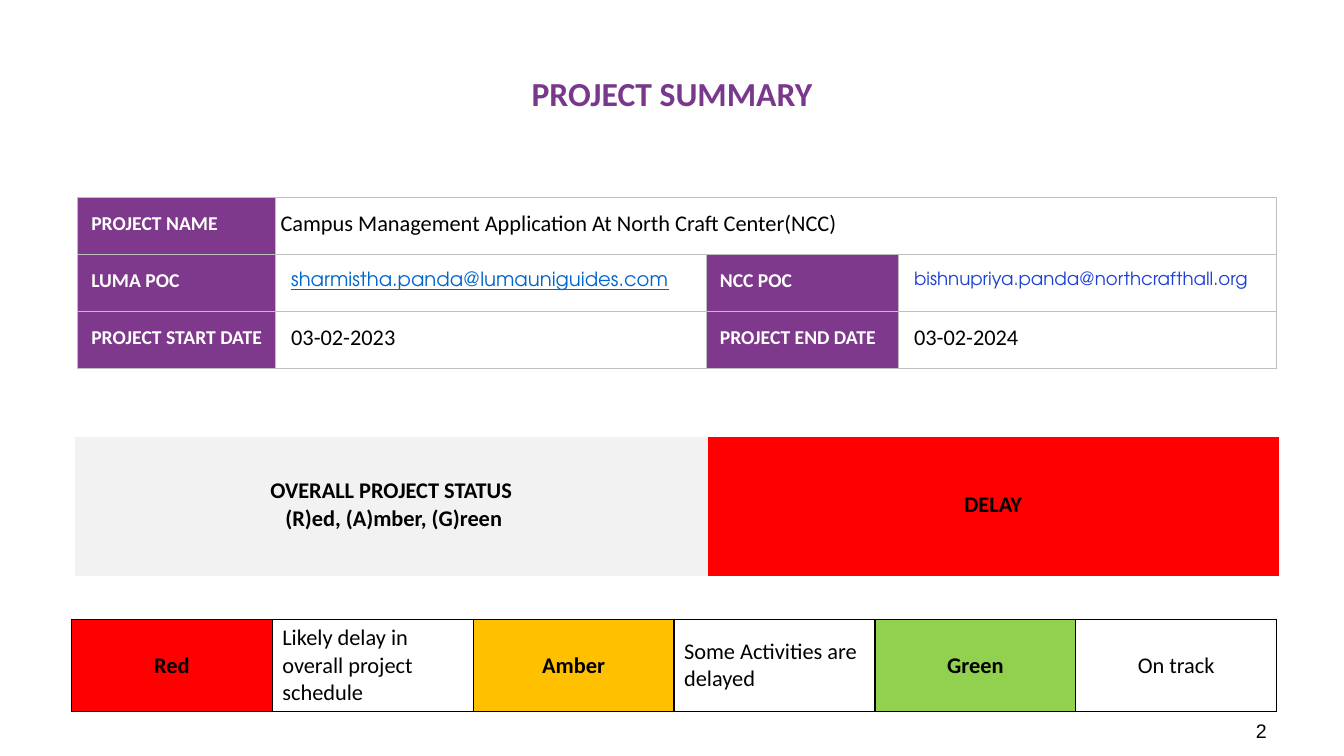
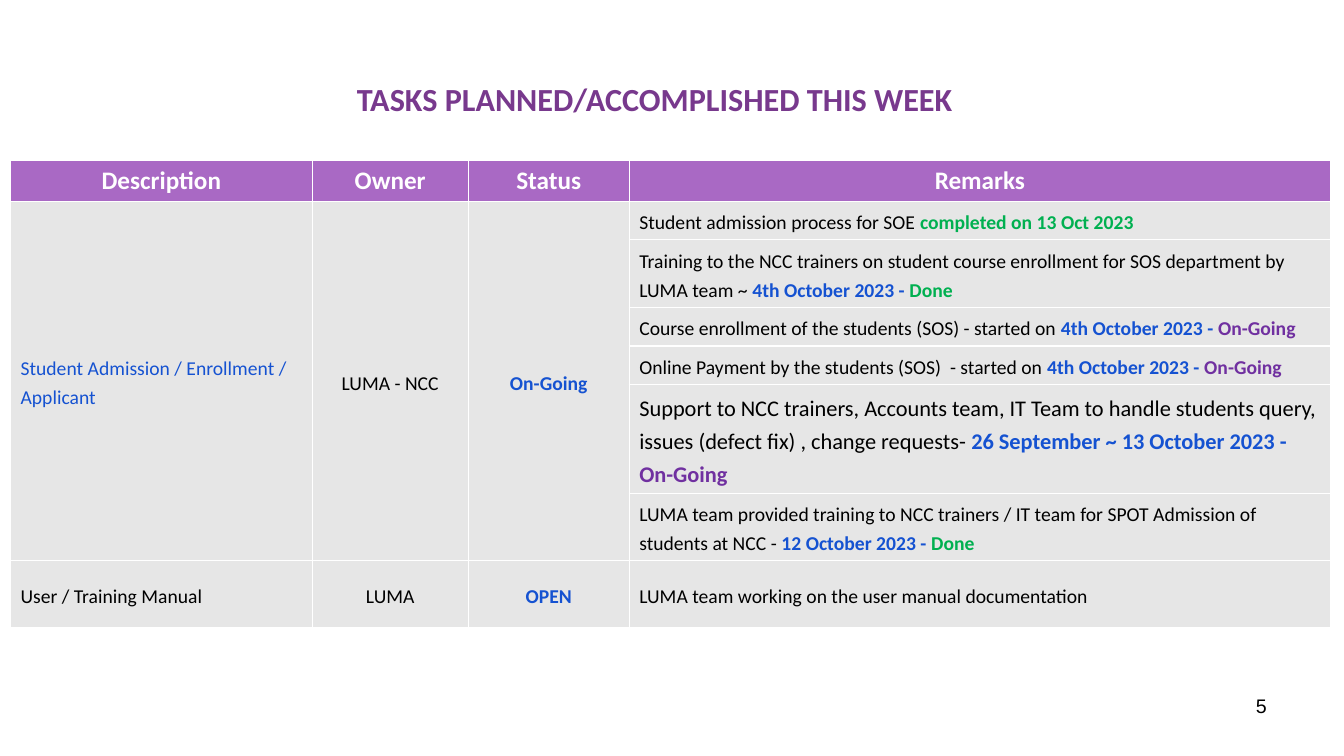
from collections import namedtuple
from lxml import etree
from pptx import Presentation
from pptx.dml.color import RGBColor
from pptx.enum.text import MSO_ANCHOR, MSO_AUTO_SIZE, PP_ALIGN
from pptx.oxml.ns import qn
from pptx.util import Pt

HUES = {
    "title": "78398D", "label": "7F398C", "head": "A969C4", "body": "E6E6E6",
    "pale": "F2F2F2", "rule": "BFBFBF", "white": "FFFFFF", "black": "000000",
    "red": "FF0000", "amber": "FFC000", "lime": "92D050",
    "blue": "1552D1", "green": "00B050", "violet": "7030A0",
    "link": "0066CC", "mail": "1D41D5",
}
FONT = "Calibri"
MAIL = "TeX Gyre Adventor"
TIGHT = (0.7, 0.7, 0.7, 3.6)
LOOSE = (7.2, 3.6, 7.2, 3.6)
LEFT, MID, RIGHT = PP_ALIGN.LEFT, PP_ALIGN.CENTER, PP_ALIGN.RIGHT

Run = namedtuple("Run", "text size hue bold font line",
                 defaults=(14, "black", False, FONT, False))
Cell = namedtuple("Cell", "lines fill align indent span space",
                  defaults=(None, LEFT, 0, (1, 1), None))
Box = namedtuple("Box", "left top width height")


def color(name):
    return RGBColor.from_string(HUES[name])


def write(frame, lines, align, space=None):
    for i, runs in enumerate(lines):
        para = frame.paragraphs[0] if i == 0 else frame.add_paragraph()
        para.alignment = align
        if space:
            para.line_spacing = space
        for item in runs:
            run = para.add_run()
            run.text = item.text
            run.font.name = item.font
            run.font.size = Pt(item.size)
            run.font.bold = item.bold
            run.font.underline = item.line
            run.font.color.rgb = color(item.hue)


def edge(cell, hue, width):
    props = cell._tc.get_or_add_tcPr()
    for i, side in enumerate(("lnL", "lnR", "lnT", "lnB")):
        line = etree.Element(qn("a:" + side), w=str(Pt(width)))
        if hue:
            fill = etree.SubElement(line, qn("a:solidFill"))
            etree.SubElement(fill, qn("a:srgbClr"), val=HUES[hue])
        else:
            etree.SubElement(line, qn("a:noFill"))
        props.insert(i, line)


def place(obj, box):
    obj.left, obj.top = Pt(box.left), Pt(box.top)
    obj.width, obj.height = Pt(box.width), Pt(box.height)


def grid(slide, left, top, cols, rows, cells, rule=None, width=1,
         inset=LOOSE):
    table = slide.shapes.add_table(
        len(rows), len(cols), Pt(left), Pt(top),
        Pt(sum(cols)), Pt(sum(rows))).table
    table.first_row = table.horz_banding = False
    for col, size in zip(table.columns, cols):
        col.width = Pt(size)
    for row, size in zip(table.rows, rows):
        row.height = Pt(size)
    for r, line in enumerate(cells):
        for c, item in enumerate(line):
            cell = table.cell(r, c)
            if item:
                fill_cell(cell, item, inset)
                down, over = item.span
                if item.span != (1, 1):
                    cell.merge(table.cell(r + down - 1, c + over - 1))
            edge(cell, rule, width)


def fill_cell(cell, item, inset):
    cell.vertical_anchor = MSO_ANCHOR.MIDDLE
    near, high, far, low = inset
    cell.margin_left, cell.margin_top = Pt(near + item.indent), Pt(high)
    cell.margin_right, cell.margin_bottom = Pt(far), Pt(low)
    if item.fill:
        cell.fill.solid()
        cell.fill.fore_color.rgb = color(item.fill)
    else:
        cell.fill.background()
    write(cell.text_frame, item.lines, item.align, item.space)


def start(deck, text, size, box):
    slide = deck.slides.add_slide(deck.slide_layouts[5])
    title = slide.shapes.title
    place(title, box)
    frame = title.text_frame
    frame.auto_size = MSO_AUTO_SIZE.NONE
    frame.vertical_anchor = MSO_ANCHOR.MIDDLE
    write(frame, [[Run(text, size, "title", True)]], MID)
    return slide


def number(slide, text, top):
    box = slide.shapes.add_textbox(Pt(688), Pt(top), Pt(224), Pt(26))
    box.text_frame.word_wrap = True
    write(box.text_frame, [[Run(text, font="Arial")]], RIGHT)


def label(text):
    return Cell([[Run(text, 14, "white", True)]], "label", indent=9)


def value(text, size=16, indent=10.8, span=(1, 1), **look):
    return Cell([[Run(text, size, **look)]], indent=indent, span=span)


def facts(slide, left, top):
    cells = [
        [label("PROJECT NAME"),
         value("Campus Management Application At North Craft Center(NCC)",
               indent=3.2, span=(1, 3)), None, None],
        [label("LUMA POC"),
         value("sharmistha.panda@lumauniguides.com", 14, hue="link",
               font=MAIL, line=True),
         label("NCC POC"),
         value("bishnupriya.panda@northcrafthall.org", 13, hue="mail",
               font=MAIL)],
        [label("PROJECT START DATE"), value("03-02-2023"),
         label("PROJECT END DATE"), value("03-02-2024")],
    ]
    grid(slide, left, top, (141, 308, 137, 270.5), [40.8] * 3, cells,
         "rule", 0.5, TIGHT)


def status(slide, left, top):
    texts = [(("OVERALL PROJECT STATUS", " (R)ed, (A)mber, (G)reen"), "pale"),
             (("DELAY",), "red")]
    cells = [Cell([[Run(text, 16, bold=True)] for text in lines], hue, MID)
             for lines, hue in texts]
    grid(slide, left, top, (452, 408), [99], [cells], inset=TIGHT)


def legend(slide, left, top):
    keys = [("Red", "red", "Likely delay in overall project schedule", LEFT),
            ("Amber", "amber", "Some Activities are delayed", LEFT),
            ("Green", "lime", "On track", MID)]
    cells = []
    for name, hue, text, align in keys:
        cells.append(Cell([[Run(name, 16, bold=True)]], hue, MID))
        cells.append(Cell([[Run(text, 16)]], "white", align))
    grid(slide, left, top, [143.5] * 6, [65], [cells], "black")


def entry(runs, align=LEFT, span=(1, 1)):
    return Cell([runs], "body", align, span=span, space=1.2)


def remark(text, date="", state="", hue="black", size=14):
    runs = [Run(text, size)]
    if date:
        runs.append(Run(date, size, "blue", True))
    if state:
        runs.append(Run(state, size, hue, True))
    return entry(runs)


def lead(task, hue, owner, state, down=1):
    span = (down, 1)
    return [entry([Run(task, hue=hue)], span=span),
            entry([Run(owner)], MID, span),
            entry([Run(state, hue="blue", bold=True)], MID, span)]


def tasks(slide, left, top):
    heads = [Cell([[Run(text, 18, "white", True)]], "head", MID)
             for text in ("Description", "Owner", "Status", "Remarks")]
    notes = [
        remark("Student admission process for SOE ",
               state="completed on 13 Oct 2023", hue="green"),
        remark("Training to the NCC trainers on student course enrollment "
               "for SOS department by LUMA team ~ ",
               "4th October 2023 - ", "Done", "green"),
        remark("Course enrollment of the students (SOS) - started on ",
               "4th October 2023 - ", "On-Going", "violet"),
        remark("Online Payment by the students (SOS)  - started on ",
               "4th October 2023 - ", "On-Going", "violet"),
        remark("Support to NCC trainers, Accounts team, IT Team to handle "
               "students query, issues (defect fix) , change requests- ",
               "26 September ~ 13 October 2023 - ", "On-Going", "violet", 16),
        remark("LUMA team provided training to NCC trainers / IT team for "
               "SPOT Admission of students at NCC - ",
               "12 October 2023 - ", "Done", "green"),
    ]
    first = lead("Student Admission / Enrollment / Applicant", "blue",
                 "LUMA - NCC", "On-Going", len(notes))
    last = lead("User / Training Manual", "black", "LUMA", "OPEN")
    cells = [heads, first + notes[:1]]
    cells += [[None] * 3 + [note] for note in notes[1:]]
    cells.append(last + [
        remark("LUMA team working on the user manual documentation")])
    grid(slide, left, top, (215.5, 111.5, 115, 501),
         (29, 27.5, 48, 27.5, 27.5, 77.5, 48, 47.5), cells, "white")


def summary(deck):
    slide = start(deck, "PROJECT SUMMARY", 24, Box(48, 21.5, 864, 90))
    status(slide, 53.5, 312.5)
    facts(slide, 55.5, 141)
    legend(slide, 51, 442.5)
    number(slide, "2", 510)


def week(deck):
    slide = start(deck, "TASKS PLANNED/ACCOMPLISHED THIS WEEK", 23,
                  Box(36, 42.5, 864, 55.5))
    tasks(slide, 7.5, 114.5)
    number(slide, "5", 492)


def main():
    deck = Presentation()
    deck.slide_width, deck.slide_height = Pt(960), Pt(540)
    summary(deck)
    week(deck)
    deck.save("out.pptx")


if __name__ == "__main__":
    main()
